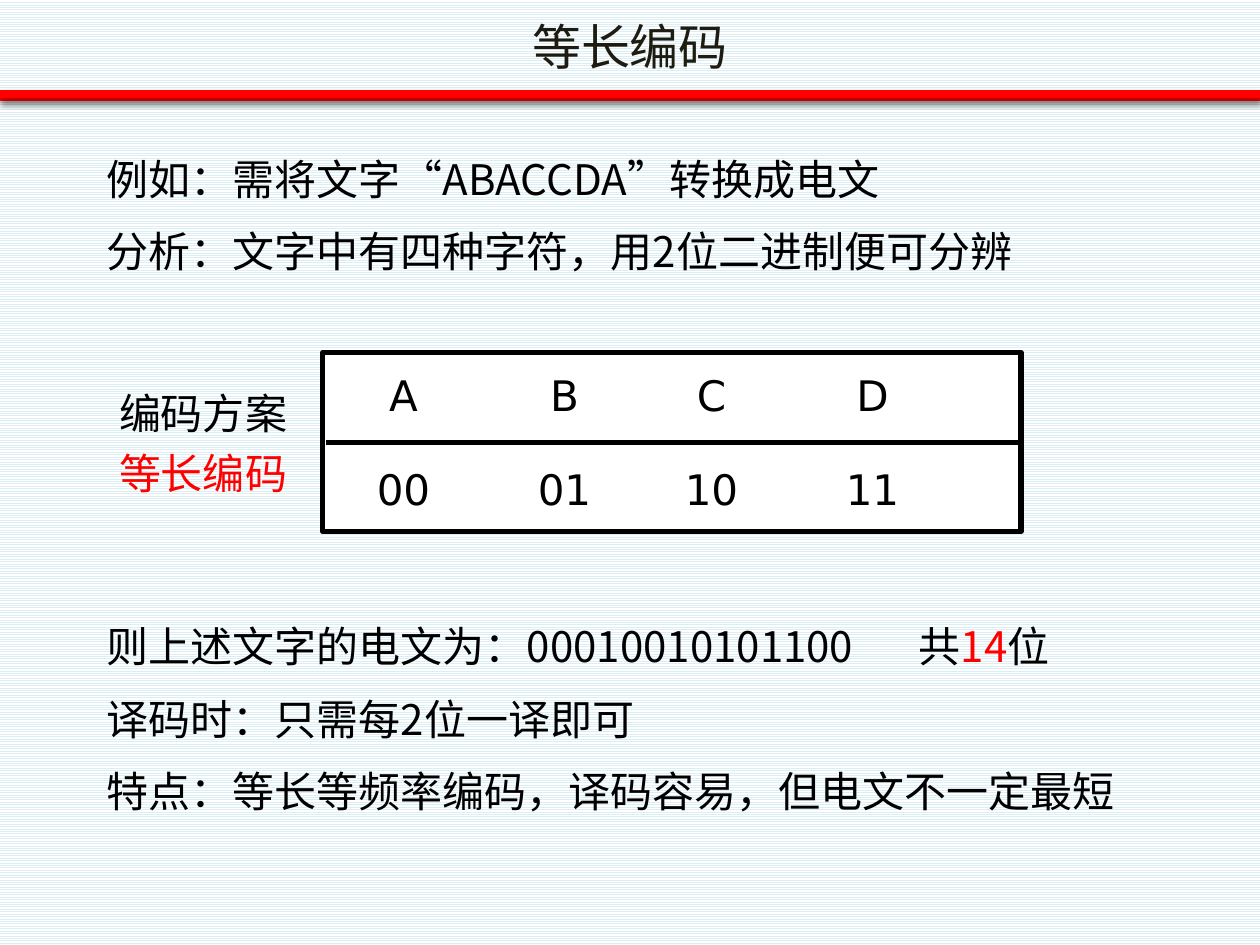
from dataclasses import dataclass

from lxml.etree import SubElement
from pptx import Presentation
from pptx.dml.color import RGBColor
from pptx.enum.dml import MSO_PATTERN
from pptx.enum.shapes import MSO_CONNECTOR, MSO_SHAPE
from pptx.enum.text import MSO_ANCHOR, PP_ALIGN
from pptx.oxml.ns import qn
from pptx.util import Pt


@dataclass(frozen=True)
class Theme:
    black: RGBColor = RGBColor(0, 0, 0)
    white: RGBColor = RGBColor(255, 255, 255)
    red: RGBColor = RGBColor(255, 0, 0)
    title: RGBColor = RGBColor(0x1E, 0x1C, 0x11)
    stripe: RGBColor = RGBColor(0xDB, 0xEE, 0xF4)
    cjk: str = "Noto Sans CJK SC"
    latin: str = "DejaVu Sans"
    title_size: int = 28
    body_size: int = 24


T = Theme()


def add_tabs(p, stops, align):
    tabs = SubElement(p._p.get_or_add_pPr(), qn("a:tabLst"))
    for stop in stops:
        SubElement(tabs, qn("a:tab"), pos=str(Pt(stop)), algn=align)


def set_font(p, name, size, color):
    p.font.name = name
    p.font.size = Pt(size)
    p.font.color.rgb = color
    SubElement(p.font._element, qn("a:ea"), typeface=T.cjk)


def add_box(s, x, y, w, h, anchor=MSO_ANCHOR.TOP):
    tf = s.shapes.add_textbox(Pt(x), Pt(y), Pt(w), Pt(h)).text_frame
    tf.word_wrap = True
    tf.vertical_anchor = anchor
    return tf


def add_paragraph(tf, i):
    return tf.add_paragraph() if i else tf.paragraphs[0]


def add_line(s, x1, x2, y, color, width, shadow=False):
    line = s.shapes.add_connector(MSO_CONNECTOR.STRAIGHT, Pt(x1), Pt(y), Pt(x2), Pt(y))
    line.line.color.rgb = color
    line.line.width = Pt(width)
    effects = SubElement(line._element.spPr, qn("a:effectLst"))
    if shadow:
        outer = SubElement(effects, qn("a:outerShdw"), blurRad=str(Pt(3.1)),
                           dist=str(Pt(1.8)), dir="5400000", rotWithShape="0")
        clr = SubElement(outer, qn("a:srgbClr"), val=str(T.black))
        SubElement(clr, qn("a:alpha"), val="35000")


def add_header(s, x, y, w, h, text):
    # Double red rule under the title
    for offset in (54, 52):
        add_line(s, x, x + w, y + offset, T.red, 4.5, shadow=True)
    p = add_box(s, x, y, w, h, MSO_ANCHOR.MIDDLE).paragraphs[0]
    p.text = text
    p.alignment = PP_ALIGN.CENTER
    set_font(p, T.latin, T.title_size, T.title)


def add_body(s, x, y, w, h, lines):
    """Each line is a list of (text, color) runs."""
    tf = add_box(s, x, y, w, h)
    tf.margin_top = Pt(7.6)
    for i, runs in enumerate(lines):
        p = add_paragraph(tf, i)
        p.line_spacing = 1.3
        if i:
            p.space_before = Pt(4)
        if any("\t" in text for text, _ in runs):
            add_tabs(p, [464], "l")
        set_font(p, T.cjk, T.body_size, T.black)
        for text, color in runs:
            r = p.add_run()
            r.text = text
            if color != T.black:
                r.font.color.rgb = color


def add_code_grid(s, x, y, w, h, rows):
    # Frame and divider
    sp = s.shapes.add_shape(MSO_SHAPE.RECTANGLE, Pt(x), Pt(y), Pt(w), Pt(h))
    sp.shadow.inherit = False
    sp.fill.solid()
    sp.fill.fore_color.rgb = T.white
    sp.line.color.rgb = T.black
    sp.line.width = Pt(3)
    add_line(s, x + 2, x + w, y + h / 2, T.black, 3)
    # Symbols and codes, centred on shared columns
    for i, cells in enumerate(rows):
        tf = add_box(s, x, y + 5.8 + i * 54, w, 36, MSO_ANCHOR.MIDDLE)
        p = tf.paragraphs[0]
        p.text = "".join("\t" + cell for cell in cells)
        add_tabs(p, (39, 131, 215, 307), "ctr")
        set_font(p, T.latin, T.body_size, T.black)


def add_labels(s, x, y, w, h, labels):
    tf = add_box(s, x, y, w, h, MSO_ANCHOR.MIDDLE)
    for i, (text, color) in enumerate(labels):
        p = add_paragraph(tf, i)
        p.text = text
        p.alignment = PP_ALIGN.CENTER
        if i:
            p.space_before = Pt(5.5)
        set_font(p, T.cjk, T.body_size, color)


def main():
    prs = Presentation()
    prs.slide_width, prs.slide_height = Pt(720), Pt(540)
    s = prs.slides.add_slide(prs.slide_layouts[6])

    # Striped background
    fill = s.background.fill
    fill.patterned()
    fill.pattern = MSO_PATTERN.LIGHT_HORIZONTAL
    fill.fore_color.rgb = T.stripe
    fill.back_color.rgb = T.white

    add_header(s, 0, 1.5, 720, 49, "等长编码")
    add_body(s, 54, 71.3, 623.5, 114, [
        [("例如：需将文字“ABACCDA”转换成电文", T.black)],
        [("分析：文字中有四种字符，用2位二进制便可分辨", T.black)],
    ])
    add_code_grid(s, 184.5, 201.6, 399, 102.2,
                  [("A", "B", "C", "D"), ("00", "01", "10", "11")])
    add_labels(s, 31, 213, 170, 80, [("编码方案", T.black), ("等长编码", T.red)])
    add_body(s, 54, 338.4, 612, 187, [
        [("则上述文字的电文为：00010010101100\t共", T.black), ("14", T.red), ("位", T.black)],
        [("译码时：只需每2位一译即可", T.black)],
        [("特点：等长等频率编码，译码容易，但电文不一定最短", T.black)],
    ])
    prs.save("out.pptx")


if __name__ == "__main__":
    main()
